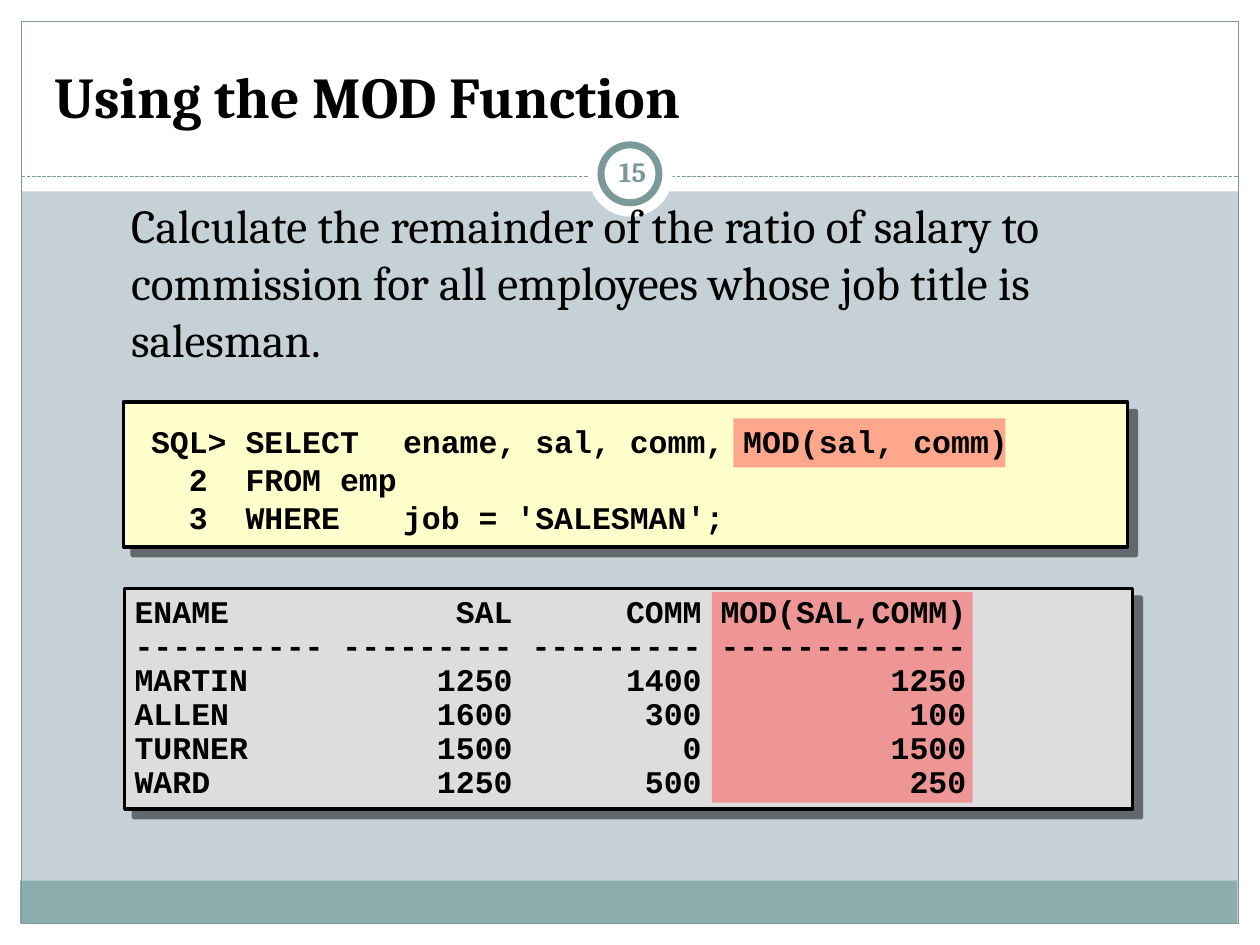
from lxml import etree
from pptx import Presentation, util as u
from pptx.dml.color import RGBColor
from pptx.enum import dml, shapes, text
from pptx.oxml import ns

COLS, ROWS = 100, 75
WIDE, HIGH = u.Inches(10), u.Inches(7.5)
RECT, OVAL = shapes.MSO_SHAPE.RECTANGLE, shapes.MSO_SHAPE.OVAL
SERIF, MONO = "Cambria", "Courier New"
WHITE, BLACK, TEAL, ROSE = "FFFFFF", "000000", "7C999A", "FF5050"

QUERY = [
    "SQL> SELECT\tename, sal, comm, MOD(sal, comm)",
    "  2  FROM\temp",
    "  3  WHERE\tjob = 'SALESMAN';",
]
RESULT = [
    ("ENAME", "SAL", "COMM", "MOD(SAL,COMM)"),
    ("-" * 10, "-" * 9, "-" * 9, "-" * 13),
    ("MARTIN", 1250, 1400, 1250),
    ("ALLEN", 1600, 300, 100),
    ("TURNER", 1500, 0, 1500),
    ("WARD", 1250, 500, 250),
]


def grid(x, y, w, h):
    return (round(WIDE * x / COLS), round(HIGH * y / ROWS),
            round(WIDE * w / COLS), round(HIGH * h / ROWS))


def paint(fill, color):
    fill.solid()
    fill.fore_color.rgb = RGBColor.from_string(color)


def sub(node, tag, **attrs):
    return etree.SubElement(node, ns.qn(tag), attrs)


def shape(slide, area, fill=None, line=None, width=0.75, kind=RECT):
    item = slide.shapes.add_shape(kind, *grid(*area))
    item.shadow.inherit = False
    if fill:
        paint(item.fill, fill)
    else:
        item.fill.background()
    if line:
        paint(item.line.fill, line)
        item.line.width = u.Pt(width)
    else:
        item.line.fill.background()
    return item


def panel(slide, area, fill):
    item = shape(slide, area, fill, BLACK, 2)
    effect = item._element.spPr.find(ns.qn("a:effectLst"))
    shade = sub(effect, "a:outerShdw", dist=str(u.Pt(7.1)), dir="2700000",
                algn="ctr", rotWithShape="0")
    color = sub(shade, "a:srgbClr", val=BLACK)
    sub(color, "a:alpha", val="50000")


def mark(slide, area):
    item = shape(slide, area, ROSE)
    color = item._element.spPr.find(".//" + ns.qn("a:srgbClr"))
    sub(color, "a:alpha", val="50000")


def rule(slide, x, y, end):
    left, top, span, _ = grid(x, y, end - x, 0)
    line = slide.shapes.add_connector(
        shapes.MSO_CONNECTOR.STRAIGHT, left, top, left + span, top)
    paint(line.line.fill, TEAL)
    line.line.width = u.Pt(0.75)
    line.line.dash_style = dml.MSO_LINE.SQUARE_DOT
    sub(line._element.spPr, "a:effectLst")


def write(frame, lines, size, face, color=BLACK, bold=False, space=None,
          align=text.PP_ALIGN.LEFT):
    frame.word_wrap = True
    frame.auto_size = text.MSO_AUTO_SIZE.NONE
    for i, words in enumerate(lines):
        para = frame.add_paragraph() if i else frame.paragraphs[0]
        para.alignment = align
        para.space_before = u.Pt(0)
        if space:
            para.line_spacing = space
        run = para.add_run()
        run.text = words
        run.font.size = u.Pt(size)
        run.font.name = face
        run.font.bold = bold
        run.font.color.rgb = RGBColor.from_string(color)


def holder(slide, item, area, anchor):
    item.left, item.top, item.width, item.height = grid(*area)
    item.text_frame.vertical_anchor = anchor
    slide.shapes._spTree.append(item._element)
    return item.text_frame


def label(slide, area):
    return slide.shapes.add_textbox(*grid(*area)).text_frame


def frame(slide):
    paint(slide.background.fill, "C5D1D7")
    edges = [(0, 73.3, 100, 1.7), (0, 0, 100, 15.2),
             (0, 0, 1.7, 75), (98.3, 0, 1.7, 75)]
    for area in edges:
        shape(slide, area, WHITE)
    shape(slide, (1.6, 69.9, 96.6, 3.4), "8CADAE")
    shape(slide, (1.7, 1.7, 96.6, 71.6), line=TEAL)
    rule(slide, 1.7, 14, 98.3)
    shape(slide, (46.7, 10.5, 6.7, 6.7), WHITE, kind=OVAL)
    shape(slide, (47.7, 11.5, 4.6, 4.6), WHITE, TEAL, 4, OVAL)


def heads(slide):
    title, body = slide.placeholders
    top = holder(slide, title, (3.3, 2.5, 93.3, 8.3), text.MSO_ANCHOR.BOTTOM)
    write(top, ["Using the MOD Function"], 33, SERIF, bold=True)
    main = holder(slide, body, (9.4, 15.1, 80.8, 14.3), text.MSO_ANCHOR.TOP)
    write(main, ["Calculate the remainder of the ratio of salary to commission "
                 "for all employees whose job title is salesman."], 27, SERIF)
    props = main.paragraphs[0]._p.get_or_add_pPr()
    props.set("marL", "0")
    props.set("indent", "0")
    sub(props, "a:buNone")


def code(slide):
    panel(slide, (9.9, 46.7, 80, 17.5), "DDDDDD")
    panel(slide, (9.8, 31.9, 79.7, 11.5), "FFFFCC")
    mark(slide, (58.2, 33.2, 21.6, 3.9))
    mark(slide, (56.5, 47, 20.7, 16.7))
    write(label(slide, (11, 33, 78.2, 15.4)), QUERY, 18, MONO, bold=True)
    rows = ["{:<10}{:>10}{:>10}{:>14}".format(*row) for row in RESULT]
    write(label(slide, (9.7, 46.8, 79.7, 17.3)), rows, 18, MONO,
          bold=True, space=0.9)


def number(slide):
    page = label(slide, (47.7, 11.2, 5, 4.8))
    page.margin_left = page.margin_right = u.Inches(0.05)
    page.vertical_anchor = text.MSO_ANCHOR.MIDDLE
    write(page, ["15"], 16, SERIF, TEAL, True, align=text.PP_ALIGN.CENTER)


def main():
    deck = Presentation()
    deck.slide_width, deck.slide_height = WIDE, HIGH
    slide = deck.slides.add_slide(deck.slide_layouts[1])
    frame(slide)
    heads(slide)
    code(slide)
    number(slide)
    deck.save("out.pptx")


if __name__ == "__main__":
    main()
